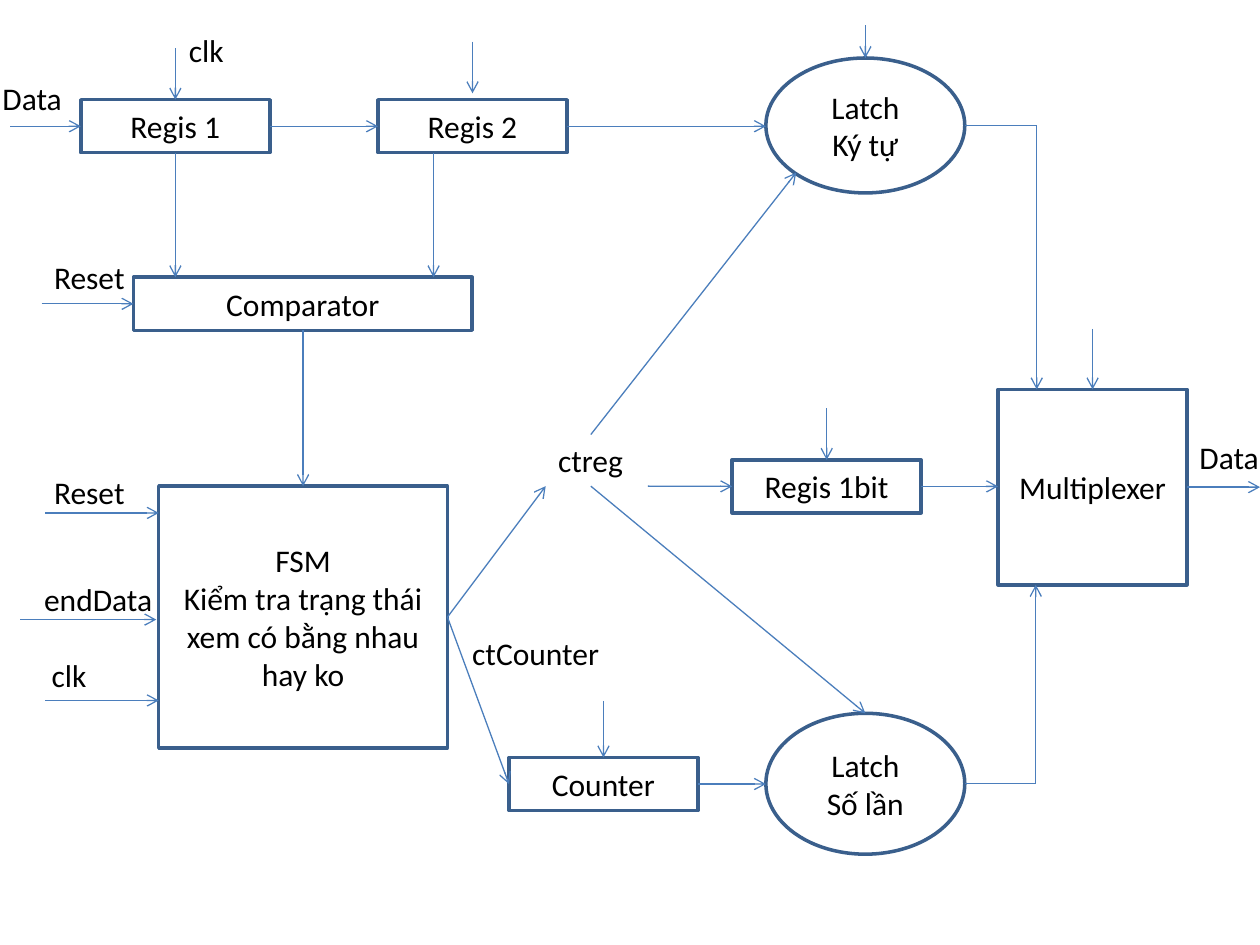
from dataclasses import dataclass
from lxml.etree import SubElement
from pptx import Presentation
from pptx.dml.color import RGBColor
from pptx.enum.shapes import MSO_CONNECTOR, MSO_SHAPE
from pptx.enum.text import MSO_ANCHOR, MSO_AUTO_SIZE, PP_ALIGN
from pptx.oxml.ns import qn
from pptx.util import Cm, Pt


@dataclass(frozen=True)
class Theme:
    font: str = "Calibri"
    text_size: float = 18
    text: RGBColor = RGBColor(0, 0, 0)
    block_fill: RGBColor = RGBColor(255, 255, 255)
    block_line: RGBColor = RGBColor(0x3A, 0x5F, 0x8C)
    block_line_width: float = 2
    wire: RGBColor = RGBColor(0x4B, 0x7E, 0xBC)
    wire_width: float = 0.75


@dataclass(frozen=True)
class Block:
    left: float
    top: float
    width: float
    height: float

    @property
    def right(self):
        return self.left + self.width

    @property
    def bottom(self):
        return self.top + self.height

    @property
    def center(self):
        return self.left + self.width / 2

    @property
    def middle(self):
        return self.top + self.height / 2


class Diagram:
    def __init__(self, slide, theme):
        self.slide = slide
        self.theme = theme

    def add_text(self, paragraph, text):
        run = paragraph.add_run()
        run.text = text
        run.font.name = self.theme.font
        run.font.size = Pt(self.theme.text_size)
        run.font.color.rgb = self.theme.text

    def block(self, lines, left, top, width=3.81, height=1.07, kind=MSO_SHAPE.RECTANGLE):
        shape = self.slide.shapes.add_shape(kind, Cm(left), Cm(top), Cm(width), Cm(height))
        shape.shadow.inherit = False
        shape.fill.solid()
        shape.fill.fore_color.rgb = self.theme.block_fill
        shape.line.color.rgb = self.theme.block_line
        shape.line.width = Pt(self.theme.block_line_width)
        frame = shape.text_frame
        frame.word_wrap = True
        frame.vertical_anchor = MSO_ANCHOR.MIDDLE
        for index, line in enumerate(lines):
            paragraph = frame.add_paragraph() if index else frame.paragraphs[0]
            paragraph.alignment = PP_ALIGN.CENTER
            self.add_text(paragraph, line)
        return Block(left, top, width, height)

    def label(self, text, left, top, width):
        box = self.slide.shapes.add_textbox(Cm(left), Cm(top), Cm(width), Cm(1.03))
        box.text_frame.word_wrap = False
        box.text_frame.auto_size = MSO_AUTO_SIZE.SHAPE_TO_FIT_TEXT
        self.add_text(box.text_frame.paragraphs[0], text)

    def wire(self, start, end, arrow=True):
        connector = self.slide.shapes.add_connector(
            MSO_CONNECTOR.STRAIGHT, *(Cm(value) for value in (*start, *end)))
        connector.line.color.rgb = self.theme.wire
        connector.line.width = Pt(self.theme.wire_width)
        properties = connector._element.spPr
        if arrow:
            SubElement(properties.find(qn("a:ln")), qn("a:tailEnd"), type="arrow")
        SubElement(properties, qn("a:effectLst"))

    def link(self, source, target):
        self.wire((source.right, source.middle), (target.left, source.middle))

    def drop(self, x, source, target):
        self.wire((x, source.bottom), (x, target.top))

    def input_left(self, block, length, y=None, gap=0):
        y = block.middle if y is None else y
        end = block.left - gap
        self.wire((end - length, y), (end, y))

    def input_top(self, block, length, gap=0):
        end = block.top - gap
        self.wire((block.center, end - length), (block.center, end))

    def elbow(self, source, x, target_y):
        self.wire((source.right, source.middle), (x, source.middle), arrow=False)
        self.wire((x, source.middle), (x, target_y))


presentation = Presentation()
presentation.slide_width = Cm(25.4)
presentation.slide_height = Cm(19.05)
slide = presentation.slides.add_slide(presentation.slide_layouts[6])
diagram = Diagram(slide, Theme())

first_register = diagram.block(["Regis 1"], 1.63, 2.01)
second_register = diagram.block(["Regis 2"], 7.62, 2.01)
comparator = diagram.block(["Comparator"], 2.69, 5.59, 6.83)
character_latch = diagram.block(["Latch", "Ký tự"], 15.44, 1.17, 4.01, 2.72, MSO_SHAPE.OVAL)
state_machine = diagram.block(
    ["FSM", "Kiểm tra trạng thái xem có bằng nhau hay ko"], 3.2, 9.8, 5.82, 5.28)
bit_register = diagram.block(["Regis 1bit"], 14.76, 9.27)
counter = diagram.block(["Counter"], 10.26, 15.27)
count_latch = diagram.block(["Latch", "Số lần"], 15.44, 14.38, 4.01, 2.84, MSO_SHAPE.OVAL)
multiplexer = diagram.block(["Multiplexer"], 20.12, 7.85, 3.81, 3.94)

for source, target in (
    (first_register, second_register),
    (second_register, character_latch),
    (bit_register, multiplexer),
    (counter, count_latch),
):
    diagram.link(source, target)

diagram.drop(first_register.center, first_register, comparator)
diagram.drop(8.74, second_register, comparator)
diagram.drop(state_machine.center, comparator, state_machine)

diagram.input_left(first_register, 1.42)
diagram.input_left(comparator, 1.85)
diagram.input_left(state_machine, 2.29, 10.34)
diagram.input_left(state_machine, 2.74, 12.49, gap=0.05)
diagram.input_left(state_machine, 2.29, 14.12)

for block, length, gap in (
    (first_register, 1.04, 0),
    (second_register, 1.04, 0.13),
    (character_latch, 0.66, 0),
    (bit_register, 1.04, 0),
    (multiplexer, 1.22, 0),
    (counter, 1.14, 0),
):
    diagram.input_top(block, length, gap)

diagram.elbow(character_latch, 20.9, multiplexer.top)
diagram.elbow(count_latch, 20.88, multiplexer.bottom)

machine_output = (state_machine.right, state_machine.middle)
diagram.wire(machine_output, (11, 9.8))
diagram.wire(machine_output, (counter.left, counter.middle))
diagram.wire((11.91, 8.76), (16.05, 3.48))
diagram.wire((11.91, 9.8), (count_latch.center, count_latch.top))
diagram.wire((13.06, 9.8), (bit_register.left, bit_register.middle))
diagram.wire((multiplexer.right, multiplexer.middle), (25.4, multiplexer.middle))

for text, left, top, width in (
    ("Data", -0.2, 1.47, 1.9),
    ("clk", 3.56, 0.51, 1.22),
    ("Reset", 0.84, 5.08, 1.96),
    ("Reset", 0.84, 9.42, 1.96),
    ("endData", 0.64, 11.56, 2.72),
    ("clk", 0.79, 13.11, 1.22),
    ("ctreg", 11, 8.76, 1.83),
    ("ctCounter", 9.27, 12.65, 3.1),
    ("Data", 23.93, 8.71, 1.73),
):
    diagram.label(text, left, top, width)

presentation.save("out.pptx")
